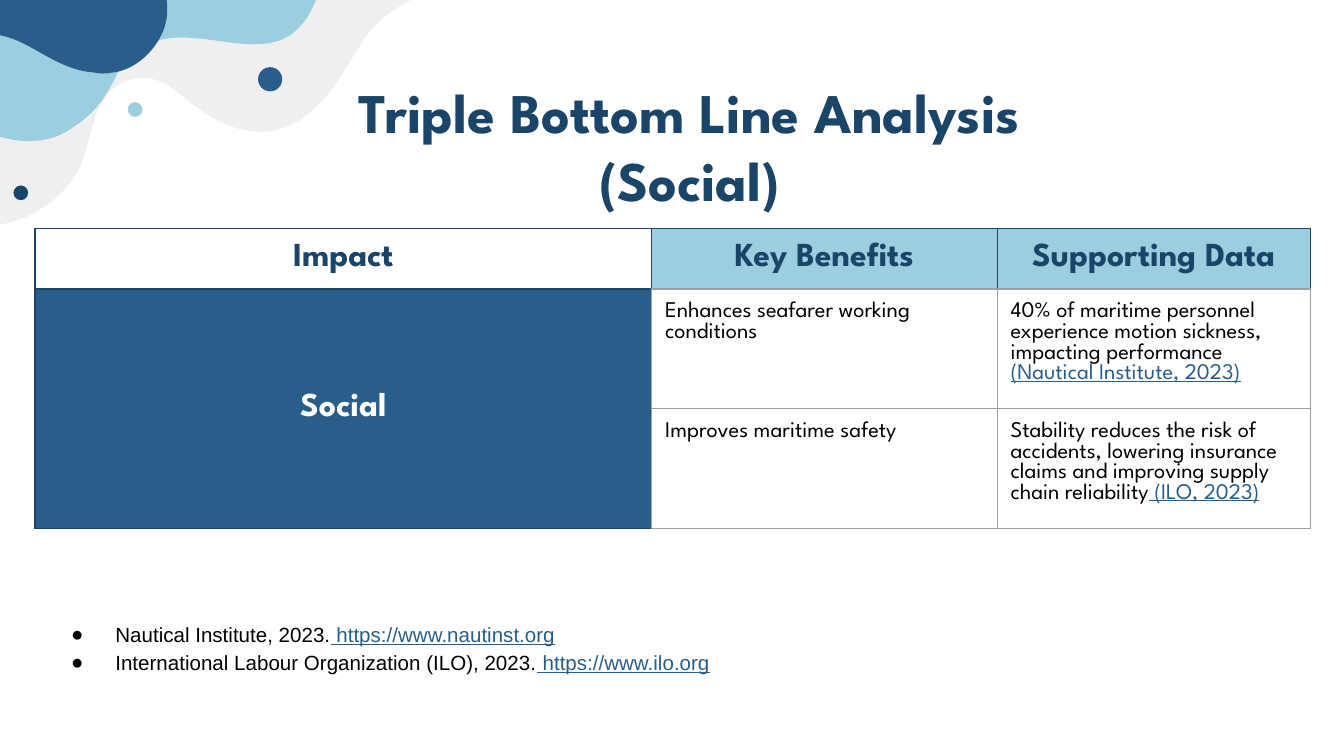
from dataclasses import dataclass
from lxml.etree import Element, SubElement
from pptx import Presentation
from pptx.dml.color import RGBColor as Rgb
from pptx.enum.shapes import MSO_SHAPE as Shape
from pptx.enum.text import MSO_ANCHOR as Anchor, PP_ALIGN as Align
from pptx.oxml.ns import qn
from pptx.util import Pt

EMU_PER_PX = 9144


@dataclass(frozen=True)
class Theme:
    navy: str = "1A4568"
    blue: str = "285E89"
    sky: str = "9DCEDF"
    mist: str = "EFEFEF"
    grid: str = "9E9E9E"
    black: str = "000000"
    white: str = "FFFFFF"
    display: str = "League Spartan"
    plain: str = "Arial"
    title_size: int = 30
    title_leading: float = 36.5
    head_size: int = 18
    head_leading: float = 16.5
    body_size: int = 12
    body_leading: int = 11
    source_size: int = 11


THEME = Theme()

BLOBS = [
    (THEME.mist, (305, -13), [
        (321, -13, 335, -12, 334, -9), (332, -6, 311, -2, 306, 0),
        (296, 5, 287, 11, 279, 19), (261, 37, 245, 91, 200, 98),
        (197, 98, 195, 98, 193, 98), (162, 98, 136, 70, 124, 63),
        (119, 60, 113, 58, 107, 58), (101, 58, 95, 60, 90, 62),
        (69, 74, 69, 100, 61, 121), (50, 146, 25, 164, -5, 168),
        (-3, 112, -7, 57, -15, 2), (23, -4, 63, -6, 102, -7),
        (156, -8, 211, -10, 265, -12), (269, -12, 288, -13, 305, -13)]),
    (THEME.sky, (21, 105), [
        (-5, 105, -26, 89, -26, 89), (-26, -8), (238, -8),
        (227, 26, 210, 33, 189, 33), (172, 33, 154, 28, 135, 28),
        (128, 28, 121, 29, 114, 31), (82, 39, 92, 71, 54, 95),
        (43, 103, 32, 105, 21, 105)]),
    (THEME.blue, (70, 54), [
        (75, 55, 79, 55, 84, 54), (103, 52, 121, 33, 124, 14),
        (126, 0, 122, -21, 107, -33), (101, -37, 96, -39, 91, -39),
        (87, -39, 83, -39, 79, -39), (33, -33, -14, -27, -61, -31),
        (-65, -31, -69, -32, -74, -32), (-72, -22, -73, -11, -71, 0),
        (-69, 10, -64, 27, -55, 33), (-52, 34, -50, 35, -47, 35),
        (-35, 36, -22, 25, -4, 26), (-3, 26, -3, 26, -2, 26),
        (22, 29, 41, 52, 70, 54)]),
]
DOTS = [(192, 50, 18, THEME.blue), (95, 76, 11, THEME.sky), (10, 138, 11, THEME.navy)]

HEADINGS = ["Impact", "Key Benefits", "Supporting Data"]
BENEFITS = [
    ("Enhances seafarer working conditions",
     "40% of maritime personnel experience motion sickness, impacting performance",
     " (Nautical Institute, 2023)"),
    ("Improves maritime safety",
     "Stability reduces the risk of accidents, lowering insurance claims and improving supply chain reliability",
     " (ILO, 2023)"),
]
SOURCES = [
    ("Nautical Institute, 2023.", " https://www.nautinst.org"),
    ("International Labour Organization (ILO), 2023.", " https://www.ilo.org"),
]


def px(value):
    return round(value * EMU_PER_PX)


def style(span, size, color, face=THEME.display, bold=False, underline=False):
    font = span.font
    font.name, font.size, font.bold = face, Pt(size), bold
    font.underline = underline
    font.color.rgb = Rgb.from_string(color)


def write(para, text, size, color, link="", **look):
    para.text = text
    style(para.runs[0], size, color, **look)
    if link:
        span = para.add_run()
        span.text = link
        style(span, size, THEME.blue, underline=True, **look)


def paint(shape, color):
    shape.fill.solid()
    shape.fill.fore_color.rgb = Rgb.from_string(color)
    shape.line.fill.background()
    shape.shadow.inherit = False


def bend(shape, segments):
    contour = shape._element.find(".//" + qn("a:path"))
    steps = iter(contour.findall(qn("a:lnTo")))
    for segment in segments:
        group = [next(steps) for _ in range(len(segment) // 2)]
        if len(group) == 3:
            curve = Element(qn("a:cubicBezTo"))
            group[0].addprevious(curve)
            for step in group:
                curve.append(step[0])
                contour.remove(step)


def add_corner(page, left, top):
    for color, start, segments in BLOBS:
        numbers = [*start, *(number for segment in segments for number in segment)]
        points = [(px(left + x), px(top + y)) for x, y in zip(numbers[::2], numbers[1::2])]
        builder = page.shapes.build_freeform(*points[0], scale=1.0)
        builder.add_line_segments(points[1:], close=True)
        blob = builder.convert_to_shape()
        bend(blob, segments)
        paint(blob, color)
    for x, y, size, color in DOTS:
        dot = page.shapes.add_shape(Shape.OVAL, px(left + x), px(top + y), px(size), px(size))
        paint(dot, color)


def add_text_box(page, left, top, width, height):
    box = page.shapes.add_textbox(px(left), px(top), px(width), px(height))
    frame = box.text_frame
    frame.word_wrap = True
    frame.margin_left = frame.margin_right = frame.margin_top = frame.margin_bottom = px(10)
    return frame


def add_title(page, left, top, width, height):
    para = add_text_box(page, left, top, width, height).paragraphs[0]
    write(para, "Triple Bottom Line Analysis (Social)", THEME.title_size, THEME.navy, bold=True)
    para.alignment = Align.CENTER
    para.line_spacing = Pt(THEME.title_leading)


def format_cell(cell, borders, fill=None):
    cell.margin_left = cell.margin_right = cell.margin_top = cell.margin_bottom = px(10)
    properties = cell._tc.get_or_add_tcPr()
    for side, color in zip("LRTB", borders):
        line = SubElement(properties, qn(f"a:ln{side}"), w=str(Pt(0.75)))
        SubElement(SubElement(line, qn("a:solidFill")), qn("a:srgbClr"), val=color)
    if fill:
        cell.fill.solid()
        cell.fill.fore_color.rgb = Rgb.from_string(fill)
    else:
        cell.fill.background()


def write_heading(cell, text, color):
    para = cell.text_frame.paragraphs[0]
    write(para, text, THEME.head_size, color, bold=True)
    para.alignment = Align.CENTER
    para.line_spacing = Pt(THEME.head_leading)
    cell.vertical_anchor = Anchor.MIDDLE


def add_benefits_table(page, left, top, widths, heights):
    frame = page.shapes.add_table(len(heights), len(widths), px(left), px(top),
                                  px(sum(widths)), px(sum(heights)))
    table = frame.table
    table.first_row = table.horz_banding = False
    for column, width in zip(table.columns, widths):
        column.width = px(width)
    for row, height in zip(table.rows, heights):
        row.height = px(height)

    navy, grid = THEME.navy, THEME.grid
    for index, heading in enumerate(HEADINGS):
        cell = table.cell(0, index)
        format_cell(cell, (navy, navy, navy, grid if index else navy),
                    THEME.sky if index else None)
        write_heading(cell, heading, navy)
    for row, (benefit, evidence, citation) in enumerate(BENEFITS, 1):
        format_cell(table.cell(row, 0), (navy, grid, navy, navy), THEME.blue)
        for column, (text, link) in enumerate([(benefit, ""), (evidence, citation)], 1):
            cell = table.cell(row, column)
            format_cell(cell, (grid,) * 4)
            para = cell.text_frame.paragraphs[0]
            write(para, text, THEME.body_size, THEME.black, link)
            para.line_spacing = Pt(THEME.body_leading)
    table.cell(1, 0).merge(table.cell(len(BENEFITS), 0))
    write_heading(table.cell(1, 0), "Social", THEME.white)


def add_sources(page, left, top, width, height):
    frame = add_text_box(page, left, top, width, height)
    for index, (source, link) in enumerate(SOURCES):
        para = frame.add_paragraph() if index else frame.paragraphs[0]
        properties = para._p.get_or_add_pPr()
        properties.set("marL", str(px(50)))
        properties.set("indent", str(px(-33)))
        SubElement(SubElement(properties, qn("a:buClr")), qn("a:srgbClr"), val=THEME.black)
        SubElement(properties, qn("a:buFont"), typeface=THEME.plain)
        SubElement(properties, qn("a:buChar"), char="●")
        para.line_spacing = 1.15
        write(para, source, THEME.source_size, THEME.black, link, face=THEME.plain)


deck = Presentation()
deck.slide_width, deck.slide_height = px(1000), px(562.5)
page = deck.slides.add_slide(deck.slide_layouts[6])
add_corner(page, 0, 0)
add_title(page, 190, 47, 646, 63)
add_benefits_table(page, 26, 170, [459, 257, 233], [45, 89, 89])
add_sources(page, 26, 450, 599, 60)
deck.save("out.pptx")
